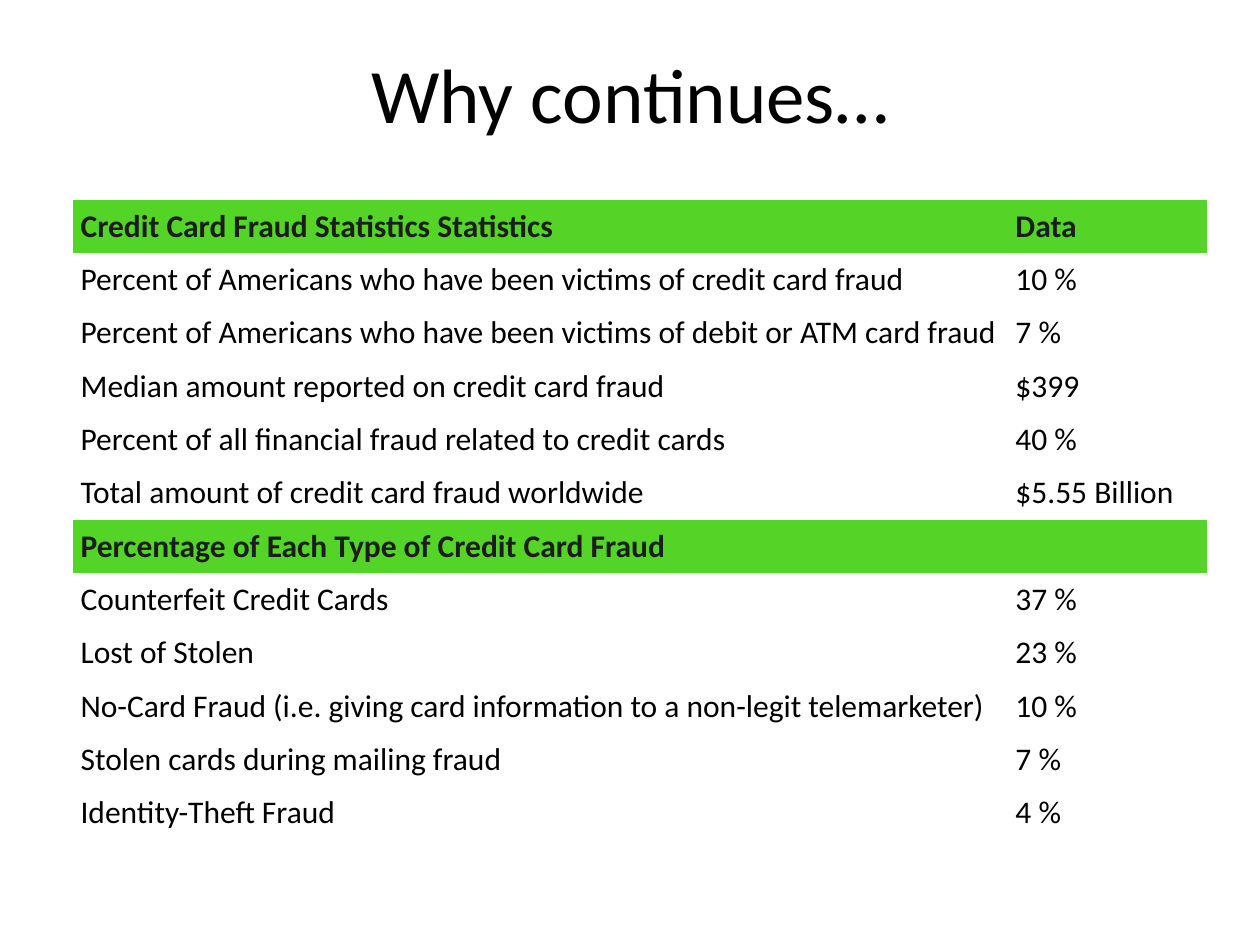
import pptx
import pptx.util
import pptx.dml.color
import pptx.enum.text

WIDTH = pptx.util.Inches(10)
HEIGHT = pptx.util.Inches(7.5)
FONT = "Calibri"
GREEN, WHITE, BLACK, CHARCOAL = "54D427", "FFFFFF", "000000", "1C1C1C"
PLAIN_TABLE_STYLE = "{2D5ABB26-0587-4C30-8999-92F81FD0307C}"
MIDDLE = pptx.enum.text.MSO_ANCHOR.MIDDLE

SECTIONS = [
    (("Credit Card Fraud Statistics Statistics", "Data"), [
        ("Percent of Americans who have been victims of credit card fraud", "10 %"),
        ("Percent of Americans who have been victims of debit or ATM card fraud", "7 %"),
        ("Median amount reported on credit card fraud", "$399"),
        ("Percent of all financial fraud related to credit cards", "40 %"),
        ("Total amount of credit card fraud worldwide", "$5.55 Billion"),
    ]),
    (("Percentage of Each Type of Credit Card Fraud", ""), [
        ("Counterfeit Credit Cards", "37 %"),
        ("Lost of Stolen", "23 %"),
        ("No-Card Fraud (i.e. giving card information to a non-legit telemarketer)", "10 %"),
        ("Stolen cards during mailing fraud", "7 %"),
        ("Identity-Theft Fraud", "4 %"),
    ]),
]


def color(hex_code):
    return pptx.dml.color.RGBColor.from_string(hex_code)


def share(left, top, width, height):
    return [int(part * side) for part, side in
            zip((left, top, width, height), (WIDTH, HEIGHT, WIDTH, HEIGHT))]


def style_text(paragraph, size, hex_code, bold=False):
    for run in paragraph.runs:
        run.font.name = FONT
        run.font.size = pptx.util.Pt(size)
        run.font.bold = bold
        run.font.color.rgb = color(hex_code)


def add_title(slide, wording):
    title = slide.shapes.add_textbox(*share(0.05, 0.04, 0.9, 0.116)).text_frame
    title.word_wrap = True
    title.vertical_anchor = MIDDLE
    title.text = wording
    title.paragraphs[0].alignment = pptx.enum.text.PP_ALIGN.CENTER
    style_text(title.paragraphs[0], 44, BLACK)


def fill_cell(cell, wording, heading):
    cell.fill.solid()
    cell.fill.fore_color.rgb = color(GREEN if heading else WHITE)
    cell.vertical_anchor = MIDDLE
    cell.margin_left = pptx.util.Inches(0.06)
    cell.margin_right = cell.margin_top = cell.margin_bottom = 0
    cell.text = wording
    style_text(cell.text_frame.paragraphs[0], 18,
               CHARCOAL if heading else BLACK, heading)


def add_statistics(slide, sections):
    lines = []
    for heading, facts in sections:
        lines.append((heading, True))
        lines.extend((fact, False) for fact in facts)
    left, top, width, height = share(0.058, 0.2115, 0.9, 0.6775)
    frame = slide.shapes.add_table(len(lines), 2, left, top, width, height)
    statistics = frame.table
    statistics.first_row = statistics.horz_banding = False
    for style_id in frame.element.iter("{*}tableStyleId"):
        style_id.text = PLAIN_TABLE_STYLE
    statistics.columns[0].width = pptx.util.Inches(7.42)
    statistics.columns[1].width = width - statistics.columns[0].width
    for row, (wordings, heading) in enumerate(lines):
        for column, wording in enumerate(wordings):
            fill_cell(statistics.cell(row, column), wording, heading)


def main():
    deck = pptx.Presentation()
    deck.slide_width, deck.slide_height = WIDTH, HEIGHT
    slide = deck.slides.add_slide(deck.slide_layouts[6])
    add_title(slide, "Why continues…")
    add_statistics(slide, SECTIONS)
    deck.save("out.pptx")


if __name__ == "__main__":
    main()
